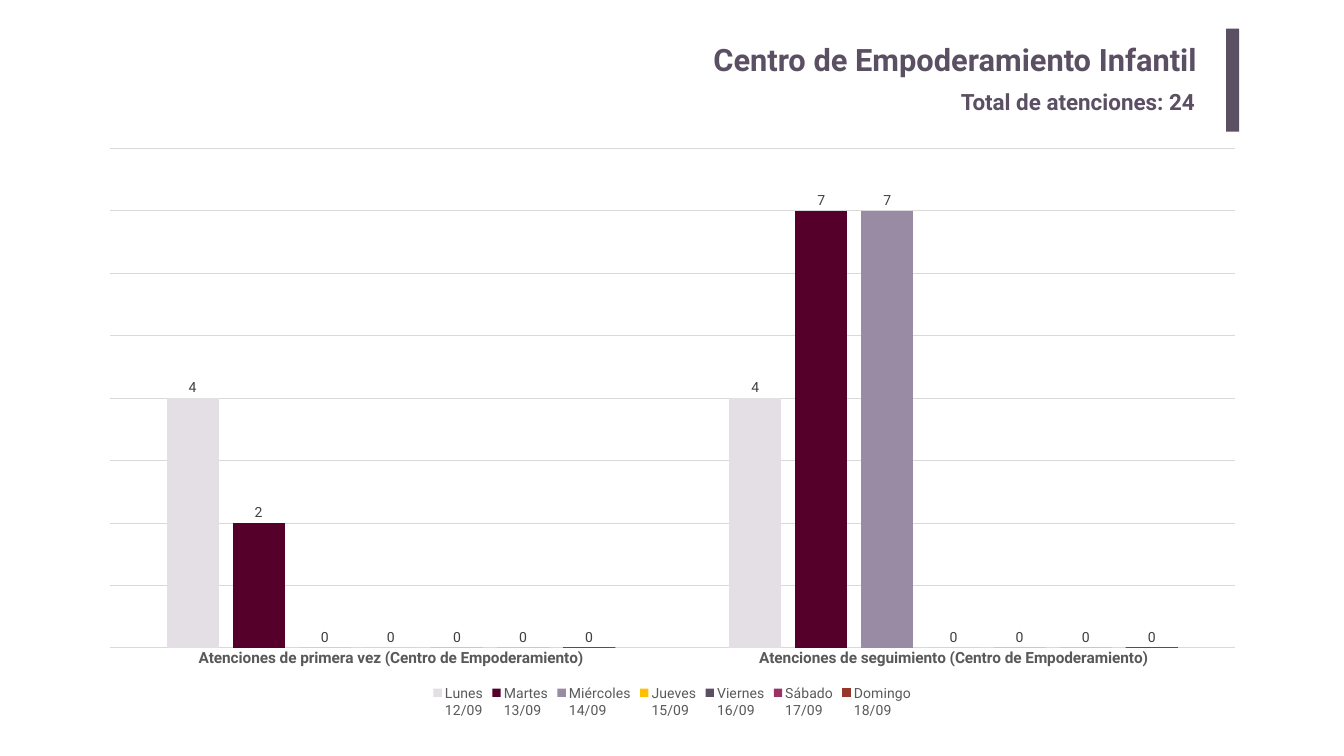
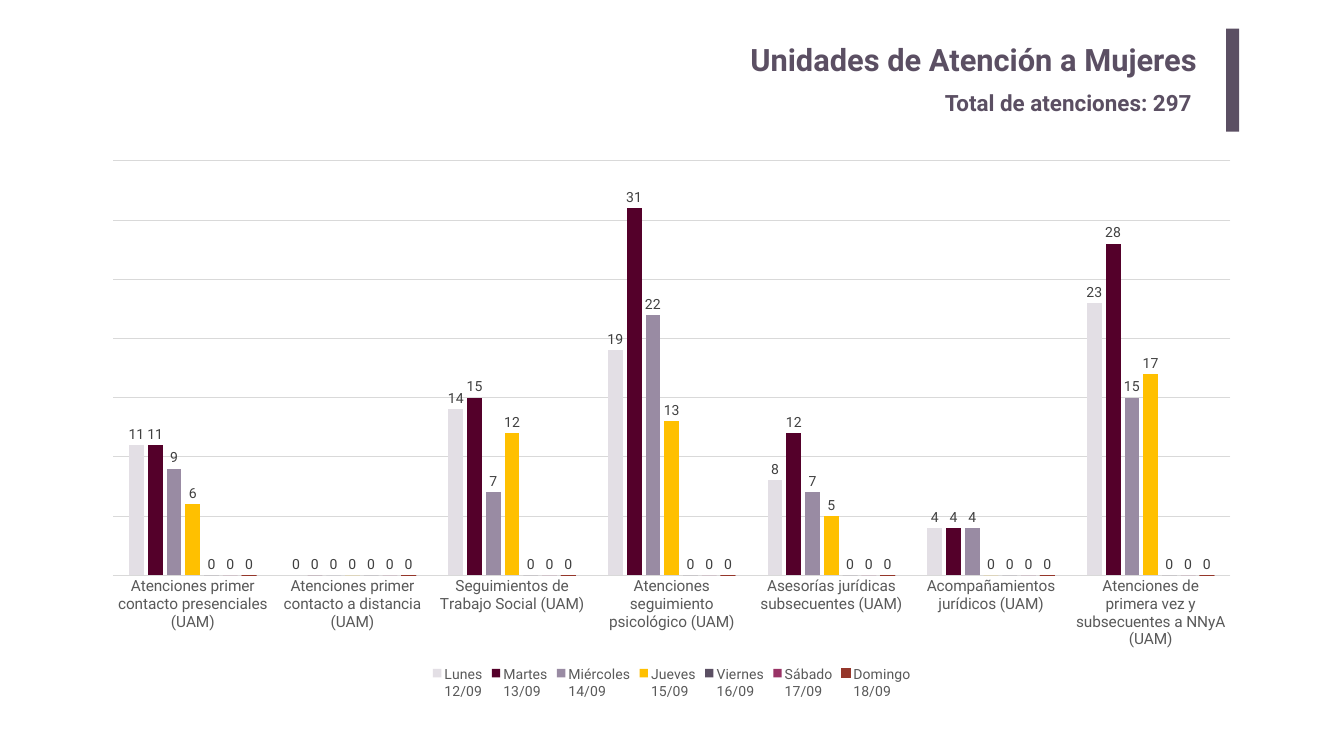
import pptx
import pptx.chart.data
import pptx.dml.color
import pptx.enum.chart
import pptx.enum.shapes
import pptx.enum.text
import pptx.util

Inches = pptx.util.Inches
Pt = pptx.util.Pt
Align = pptx.enum.text.PP_ALIGN
Anchor = pptx.enum.text.MSO_ANCHOR
Kind = pptx.enum.chart

COLORS = {
    "accent": "5B4F63",
    "axis": "595959",
    "label": "404040",
    "rule": "D9D9D9",
}

# Weekdays: legend name, bar colour
DAYS = [
    ("Lunes\n12/09", "E3DFE5"),
    ("Martes\n13/09", "54002A"),
    ("Miércoles\n14/09", "998BA3"),
    ("Jueves\n15/09", "FFC000"),
    ("Viernes\n16/09", "5B4F63"),
    ("Sábado\n17/09", "993366"),
    ("Domingo\n18/09", "95372B"),
]

# Each chart row: category, then counts from Monday on (missing days are 0)
SLIDES = [
    {
        "title": "Centro de Empoderamiento Infantil",
        "total": "Total de atenciones: 24",
        "total_box": (18.97, 1.69, 5.05, 0.64),
        "chart_box": (1.71, 2.71, 23.26, 11.62),
        "top": 8, "step": 1, "bold": True,
        "rows": [
            ("Atenciones de primera vez (Centro de Empoderamiento)", 4, 2),
            ("Atenciones de seguimiento (Centro de Empoderamiento)", 4, 7, 7),
        ],
    },
    {
        "title": "Unidades de Atención a Mujeres",
        "total": "Total de atenciones: 297",
        "total_box": (18.65, 1.71, 5.31, 0.64),
        "chart_box": (1.78, 2.97, 23.1, 10.97),
        "top": 35, "step": 5, "bold": False,
        "rows": [
            ("Atenciones primer contacto presenciales (UAM)", 11, 11, 9, 6),
            ("Atenciones primer contacto a distancia (UAM)",),
            ("Seguimientos de Trabajo Social (UAM)", 14, 15, 7, 12),
            ("Atenciones seguimiento psicológico (UAM)", 19, 31, 22, 13),
            ("Asesorías jurídicas subsecuentes (UAM)", 8, 12, 7, 5),
            ("Acompañamientos jurídicos (UAM)", 4, 4, 4),
            ("Atenciones de primera vez y subsecuentes a NNyA (UAM)",
             23, 28, 15, 17),
        ],
    },
]


def tint(code):
    return pptx.dml.color.RGBColor.from_string(COLORS.get(code, code))


def style(font, size, color, bold=False):
    font.name = "Roboto"
    font.size = Pt(size)
    font.bold = bold
    font.color.rgb = tint(color)


def write(frame, text, size=32, color="accent", bold=True, align=Align.LEFT,
          anchor=Anchor.TOP, inset=(0.1, 0.05)):
    frame.word_wrap = True
    frame.vertical_anchor = anchor
    frame.margin_left = frame.margin_right = Inches(inset[0])
    frame.margin_top = frame.margin_bottom = Inches(inset[1])
    para = frame.paragraphs[0]
    para.alignment = align
    run = para.add_run()
    run.text = text
    style(run.font, size, color, bold)


class Deck:
    def __init__(self):
        self.show = pptx.Presentation()
        self.show.slide_width = Inches(26.67)
        self.show.slide_height = Inches(15)
        self.slide = None

    def page(self):
        self.slide = self.show.slides.add_slide(self.show.slide_layouts[6])

    def text(self, box, text, **look):
        shape = self.slide.shapes.add_textbox(*map(Inches, box))
        write(shape.text_frame, text, **look)

    def band(self, box, color):
        shape = self.slide.shapes.add_shape(
            pptx.enum.shapes.MSO_SHAPE.RECTANGLE, *map(Inches, box))
        shape.shadow.inherit = False
        shape.fill.solid()
        shape.fill.fore_color.rgb = tint(color)
        shape.line.fill.background()

    def header(self, title, total, total_box):
        self.text((3.66, 0.67, 20.3, 1.02), title, size=44,
                  align=Align.RIGHT, anchor=Anchor.MIDDLE, inset=(0.2, 0.1))
        self.band((24.33, 0.57, 0.26, 2.04), "accent")
        self.text(total_box, total)

    def chart(self, box, rows, top, step, bold):
        data = pptx.chart.data.CategoryChartData()
        data.categories = [row[0] for row in rows]
        for day, (name, _) in enumerate(DAYS, 1):
            data.add_series(
                name, [row[day] if day < len(row) else 0 for row in rows])
        chart = self.slide.shapes.add_chart(
            Kind.XL_CHART_TYPE.COLUMN_CLUSTERED, *map(Inches, box), data).chart
        chart.has_title = False
        style(chart.font, 10, "000000")

        # Legend
        chart.has_legend = True
        chart.legend.position = Kind.XL_LEGEND_POSITION.BOTTOM
        chart.legend.include_in_layout = False
        style(chart.legend.font, 20, "axis")

        # Axes
        cats, vals = chart.category_axis, chart.value_axis
        cats.major_tick_mark = Kind.XL_TICK_MARK.NONE
        style(cats.tick_labels.font, 22, "axis", bold)
        vals.visible = False
        vals.minimum_scale, vals.maximum_scale = 0, top
        vals.major_unit = step
        for line in (cats.format.line, vals.major_gridlines.format.line):
            line.color.rgb = tint("rule")
            line.width = Pt(0.75)

        # Bars
        plot = chart.plots[0]
        plot.gap_width, plot.overlap = 219, -27
        plot.vary_by_categories = False
        for bars, (_, color) in zip(plot.series, DAYS):
            bars.invert_if_negative = False
            bars.format.fill.solid()
            bars.format.fill.fore_color.rgb = tint(color)
            labels = bars.data_labels
            labels.show_value = True
            labels.position = Kind.XL_LABEL_POSITION.OUTSIDE_END
            style(labels.font, 20, "label")
        # Sunday bars, the last series, are outlined
        bars.format.line.color.rgb = tint(color)
        bars.format.line.width = Pt(0.75)


def main():
    deck = Deck()
    for item in SLIDES:
        deck.page()
        deck.header(item["title"], item["total"], item["total_box"])
        deck.chart(item["chart_box"], item["rows"], item["top"],
                   item["step"], item["bold"])
    deck.show.save("out.pptx")


if __name__ == "__main__":
    main()
